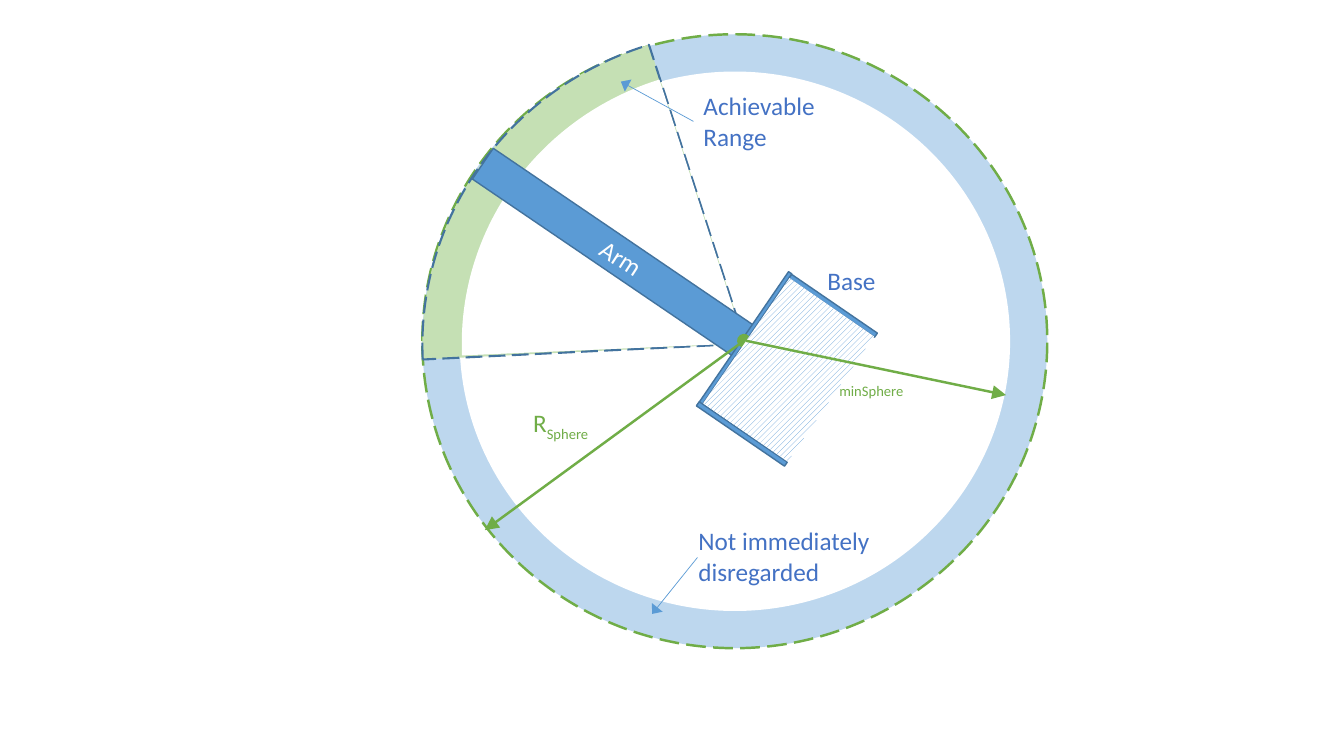
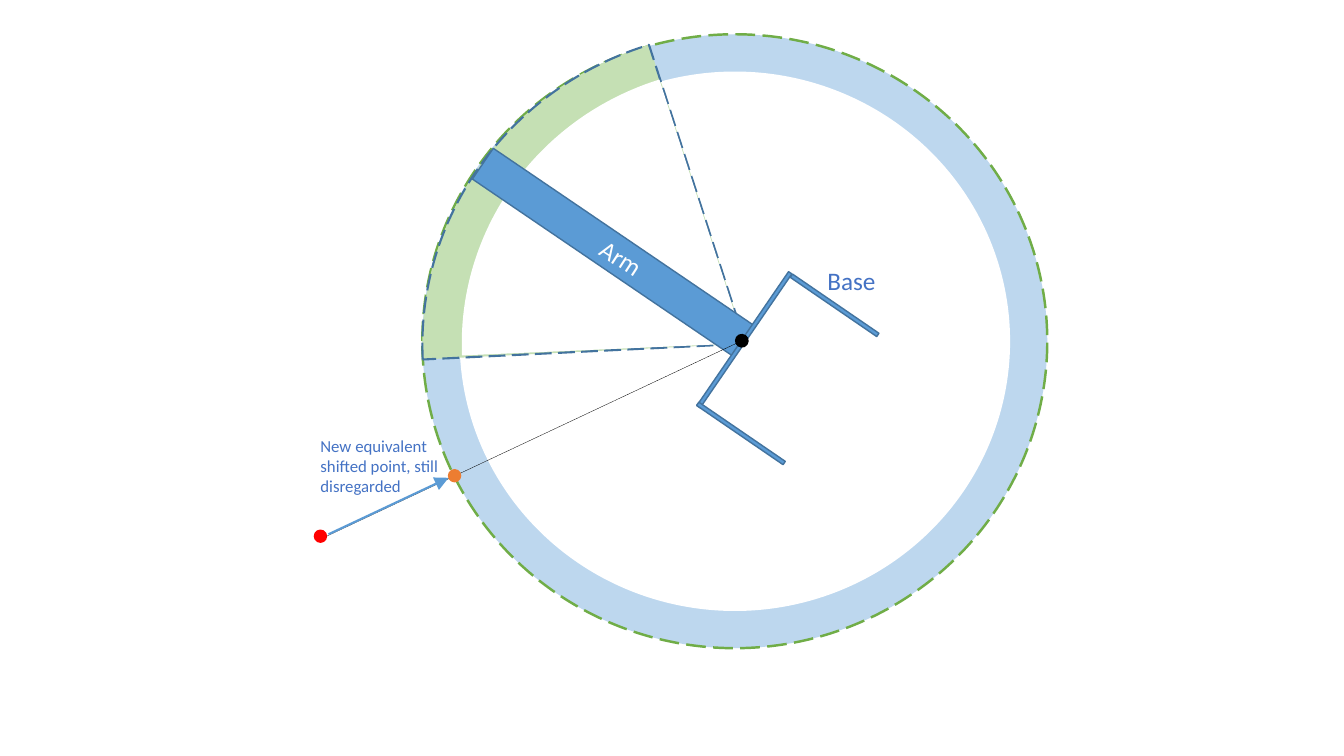
from lxml.etree import SubElement
from pptx import Presentation
from pptx.dml.color import RGBColor
from pptx.enum.dml import MSO_LINE as Dash, MSO_PATTERN as Pattern
from pptx.enum.shapes import MSO_CONNECTOR as Connector, MSO_SHAPE as Preset
from pptx.enum.text import MSO_AUTO_SIZE as AutoSize, PP_ALIGN as Align
from pptx.oxml.ns import qn
from pptx.util import Pt

BLUE, DARK_BLUE, PALE_BLUE = "5B9BD5", "43739E", "BDD7EE"
GREEN, PALE_GREEN = "70AD47", "C5E0B4"
LABEL, WHITE, BLACK = "4472C4", "FFFFFF", "000000"
RED, ORANGE = "FF0000", "ED7D31"
LEFT_SIDE = 1


def set_color(color_format, value):
    color_format.rgb = RGBColor.from_string(value)


def write(paragraph, content, *, size=18, color=LABEL, font="Calibri", baseline=0):
    run = paragraph.add_run()
    run.text = content
    run.font.name = font
    run.font.size = Pt(size)
    set_color(run.font.color, color)
    if baseline:
        run.font._element.set("baseline", str(baseline * 1000))


class Diagram:
    def __init__(self):
        self.presentation = Presentation()
        self.presentation.slide_width = Pt(960)
        self.presentation.slide_height = Pt(540)
        self.shapes = None

    def new_slide(self):
        layout = self.presentation.slide_layouts[6]
        slide = self.presentation.slides.add_slide(layout)
        self.shapes = slide.shapes.add_group_shape().shapes

    def stroke(self, line, color, width, dash):
        set_color(line.color, color)
        line.width = Pt(width)
        if dash:
            line.dash_style = dash

    def shape(self, preset, bounds, *, fill=None, line=None, width=1, dash=None,
              rotation=0, adjustments=()):
        shape = self.shapes.add_shape(preset, *map(Pt, bounds))
        shape.shadow.inherit = False
        shape.rotation = rotation
        for index, value in enumerate(adjustments):
            shape.adjustments[index] = value
        if fill:
            shape.fill.solid()
            set_color(shape.fill.fore_color, fill)
        else:
            shape.fill.background()
        if line:
            self.stroke(shape.line, line, width, dash)
        else:
            shape.line.fill.background()
        return shape

    def bar(self, bounds, rotation):
        self.shape(Preset.RECTANGLE, bounds, fill=BLUE, line=DARK_BLUE, rotation=rotation)

    def dot(self, left, top, color):
        self.shape(Preset.OVAL, (left, top, 8.6, 8.6), fill=color, line=color)

    def hatch(self, bounds, rotation):
        shape = self.shape(Preset.RECTANGLE, bounds, rotation=rotation)
        shape.fill.patterned()
        shape.fill.pattern = Pattern.WIDE_UPWARD_DIAGONAL
        set_color(shape.fill.fore_color, BLUE)
        set_color(shape.fill.back_color, WHITE)

    def text(self, bounds, content, *, subscript="", wrap=False, rotation=0, **style):
        shape = self.shapes.add_textbox(*map(Pt, bounds))
        shape.rotation = rotation
        frame = shape.text_frame
        frame.word_wrap = wrap
        frame.auto_size = AutoSize.SHAPE_TO_FIT_TEXT
        paragraph = frame.paragraphs[0]
        paragraph.alignment = Align.LEFT
        write(paragraph, content, **style)
        if subscript:
            write(paragraph, subscript, baseline=-25, **style)
        return shape

    def line(self, start, end, *, color=BLUE, width=0.5, dash=None, head=None,
             tail=None, end_length="lg", source=None):
        connector = self.shapes.add_connector(Connector.STRAIGHT, *map(Pt, start + end))
        if source is not None:
            connector.begin_connect(source, LEFT_SIDE)
        self.stroke(connector.line, color, width, dash)
        outline = connector.get_or_add_ln()
        for tag, kind in (("a:headEnd", head), ("a:tailEnd", tail)):
            if kind:
                SubElement(outline, qn(tag), type=kind, w="lg", len=end_length)
        SubElement(connector.element.spPr, qn("a:effectLst"))

    def reach(self):
        left, top, width, height, band = 301.7, 24.5, 446.4, 438.5, 26.6
        outer = (left, top, width, height)
        inner = (left + band, top + band, width - 2 * band, height - 2 * band)
        self.shape(Preset.OVAL, outer, fill=PALE_BLUE)
        self.shape(Preset.OVAL, inner, fill=WHITE)
        self.shape(Preset.OVAL, outer, line=GREEN, width=1.75, dash=Dash.LONG_DASH)
        self.shape(Preset.PIE, (301.7, 21.6, 461.5, 447.8), fill=PALE_GREEN,
                   line=DARK_BLUE, width=1.5, dash=Dash.LONG_DASH, rotation=177.2,
                   adjustments=(0, 44.95))
        self.shape(Preset.PIE, (329.8, 47.5, 403.9, 395.3), fill=WHITE,
                   rotation=177.2, adjustments=(0.2, 44.95))

    def robot(self, lower_side, upper_side):
        self.bar((325.4, 167, 225.4, 26.6), 34.2)
        self.bar((473.8, 241.2, 115.9, 2.9), 304.4)
        for side in (lower_side, upper_side):
            self.bar(side, 34.4)
        self.text((583.9, 186.2, 49, 28.8), "Base")
        self.text((421.2, 169.9, 46.1, 28.8), "Arm", color=WHITE, rotation=32.9)


def build_range_slide(diagram):
    diagram.new_slide()
    diagram.reach()
    diagram.robot((491.8, 308.2, 76.3, 3.6), (558, 216.7, 74.2, 3.6))
    diagram.line((346.3, 378.7), (531.4, 243.4), color=GREEN, width=1.75,
                 head="triangle", tail="oval")
    diagram.text((373.7, 287.7, 58.3, 28.8), "R", subscript="Sphere", color=GREEN)
    achievable = diagram.text((495.4, 61.2, 100.1, 51.1), "Achievable Range", wrap=True)
    diagram.line((495.4, 86.8), (443.5, 58.3), tail="triangle", end_length="med",
                 source=achievable)
    diagram.line((498.2, 398.2), (465.8, 438.5), tail="triangle", end_length="med")
    diagram.text((491.8, 371.9, 146.9, 51.1), "Not immediately disregarded", wrap=True)
    diagram.hatch((509, 227.5, 108.7, 73.4), 304.6)
    diagram.text((592.4, 269.1, 60.2, 20), "minSphere", size=10.4, color=GREEN)
    diagram.line((718.6, 282.2), (532.8, 243.4), color=GREEN, width=1.75, head="triangle")


def build_shift_slide(diagram):
    diagram.new_slide()
    diagram.reach()
    diagram.robot((491.8, 308.2, 74.9, 2.9), (558.7, 216.7, 74.9, 2.9))
    diagram.dot(224.6, 378.7, RED)
    diagram.line((233.3, 383), (529.9, 243.4), color=BLACK, width=0.25,
                 dash=Dash.SQUARE_DOT, tail="oval")
    diagram.line((234.7, 381.6), (320.4, 341.3), width=1.5, tail="triangle")
    diagram.text((221.8, 307.4, 105.8, 51.1),
                 "New equivalent shifted point, still disregarded", wrap=True, size=12)
    diagram.dot(320.4, 335.5, ORANGE)


def main():
    diagram = Diagram()
    build_range_slide(diagram)
    build_shift_slide(diagram)
    diagram.presentation.save("out.pptx")


if __name__ == "__main__":
    main()
